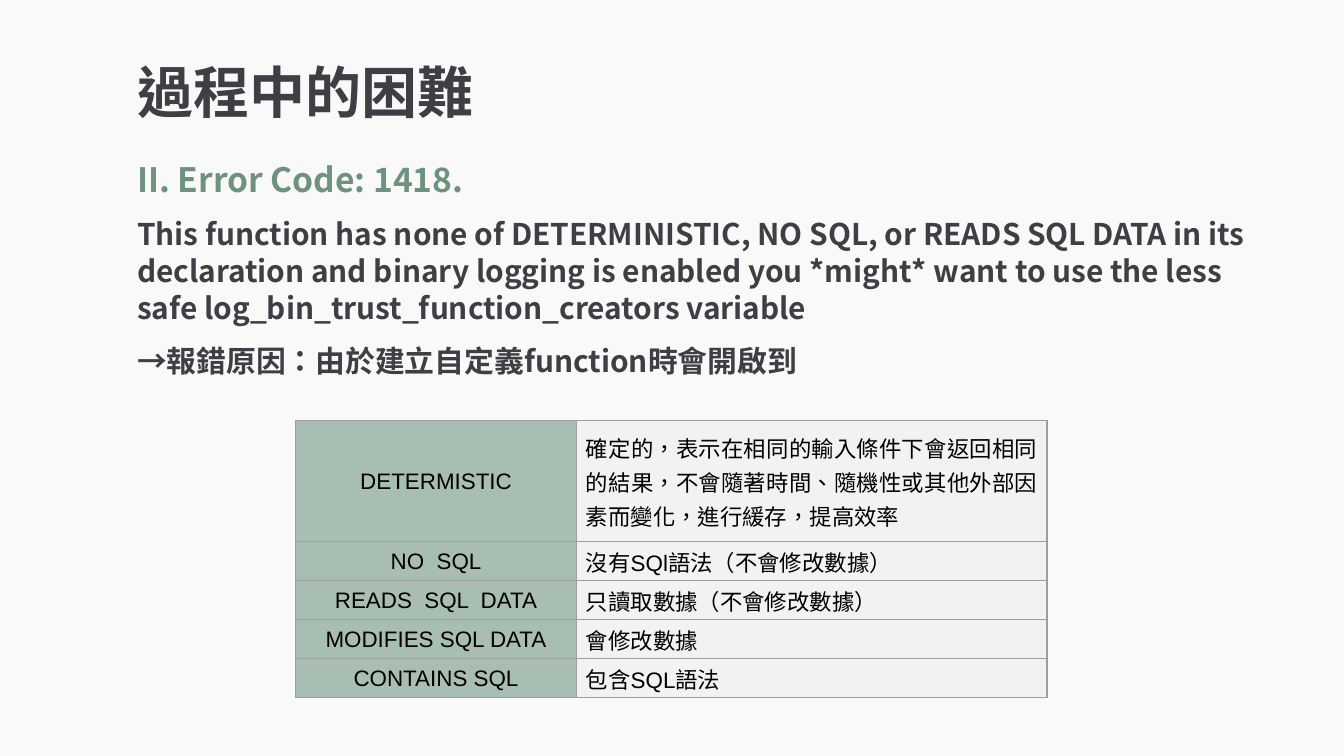
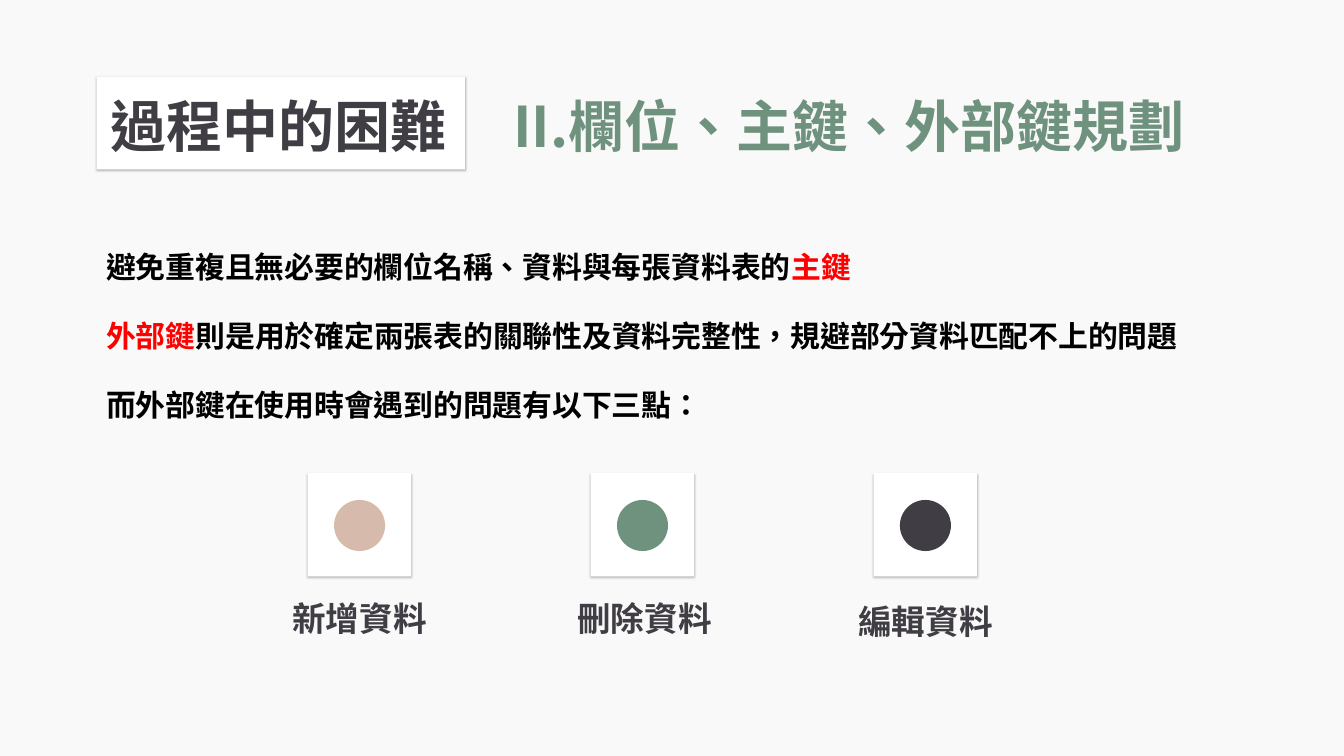
"""Build two slides on difficulties met during a database project."""
from dataclasses import dataclass

from lxml.etree import SubElement
from pptx import Presentation
from pptx.dml.color import RGBColor
from pptx.enum.shapes import MSO_SHAPE
from pptx.enum.text import MSO_ANCHOR, MSO_AUTO_SIZE, PP_ALIGN
from pptx.oxml import parse_xml
from pptx.oxml.ns import nsdecls, qn
from pptx.util import Inches, Pt


@dataclass(frozen=True)
class Theme:
    paper: str = "FAF9F9"
    ink: str = "403E44"
    green: str = "6F927E"
    sand: str = "D6BBAD"
    white: str = "FFFFFF"
    black: str = "000000"
    red: str = "FF0000"
    key_fill: str = "A9BEB2"
    note_fill: str = "F2F2F2"
    border: str = "9E9E9E"
    heading_font: str = "Noto Sans CJK SC"
    body_font: str = "Calibri"
    table_font: str = "Arial"
    title_size: int = 30
    heading_size: int = 18
    body_size: int = 16
    table_size: int = 12


THEME = Theme()


def write(paragraph, runs, size, font=THEME.heading_font, bold=True,
          align=PP_ALIGN.LEFT, spacing=1.0, after=0, indent=0):
    """Fill a paragraph with (text, colour) runs in one style."""
    properties = paragraph._p.get_or_add_pPr()
    properties.set("marL", str(Inches(indent)))
    properties.set("indent", "0")
    SubElement(properties, qn("a:buNone"))
    paragraph.alignment = align
    paragraph.line_spacing = spacing
    paragraph.space_before = Pt(0)
    paragraph.space_after = Pt(after)
    paragraph.font.name = font
    paragraph.font.size = Pt(size)
    paragraph.font.bold = bold
    paragraph.font.color.rgb = RGBColor.from_string(runs[0][1])
    if font == THEME.heading_font:
        SubElement(properties.find(qn("a:defRPr")), qn("a:ea"), typeface=font)
    for text, color in runs:
        run = paragraph.add_run()
        run.text = text
        run._r.get_or_add_rPr().set("lang", "zh-TW")
        if color != runs[0][1]:
            run.font.color.rgb = RGBColor.from_string(color)


def add_filled(slide, preset, left, top, width, height, color, raised=False):
    """Add a borderless shape, with a soft shadow when raised."""
    shape = slide.shapes.add_shape(
        preset, Inches(left), Inches(top), Inches(width), Inches(height))
    shape.fill.solid()
    shape.fill.fore_color.rgb = RGBColor.from_string(color)
    shape.line.fill.background()
    shape.shadow.inherit = False
    if raised:
        effects = shape._element.spPr.find(qn("a:effectLst"))
        effects.append(parse_xml(
            f'<a:outerShdw {nsdecls("a")} blurRad="{Pt(1.1)}" dist="{Pt(0.8)}" '
            f'dir="{81 * 60000}" algn="ctr" rotWithShape="0">'
            f'<a:srgbClr val="{THEME.black}"><a:alpha val="25000"/></a:srgbClr>'
            '</a:outerShdw>'))
    return shape


prs = Presentation()
prs.slide_width = Inches(10)
prs.slide_height = prs.slide_width * 9 // 16
background = prs.slide_master.background.fill
background.solid()
background.fore_color.rgb = RGBColor.from_string(THEME.paper)

heading = "過程中的困難"
pages = [
    {
        "title_box": (0.92, 0.33, 2.74, 0.63),
        "title": [(heading, THEME.ink)],
        "body_box": (0.92, 1.12, 8.74, 1.77),
        "style": {"spacing": 1.04},
        "body": [
            (THEME.heading_size, [("II. Error Code: 1418.", THEME.green)]),
            (THEME.body_size, [(
                "This function has none of DETERMINISTIC, NO SQL, or READS SQL DATA "
                "in its declaration and binary logging is enabled you *might* want "
                "to use the less safe log_bin_trust_function_creators variable",
                THEME.ink)]),
            (THEME.body_size,
             [("→報錯原因：由於建立自定義function時會開啟到", THEME.ink)]),
        ],
    },
    {
        "title_box": (0.72, 0.58, 8.56, 0.63),
        "title": [(heading + "\t", THEME.ink),
                  ("II.欄位、主鍵、外部鍵規劃", THEME.green)],
        "body_box": (0.02, 1.67, 9.13, 1.49),
        "style": {"spacing": 1.5, "indent": 0.67, "font": THEME.body_font},
        "body": [
            (THEME.body_size, [
                ("避免重複且無必要的欄位名稱、資料與每張資料表的", THEME.black),
                ("主鍵", THEME.red)]),
            (THEME.body_size, [
                ("外部鍵", THEME.red),
                ("則是用於確定兩張表的關聯性及資料完整性，規避部分資料匹配不上的問題",
                 THEME.black)]),
            (THEME.body_size,
             [("而外部鍵在使用時會遇到的問題有以下三點：", THEME.black)]),
        ],
    },
]

slides = []
for page in pages:
    slide = prs.slides.add_slide(prs.slide_layouts[1])
    slides.append(slide)
    title, body = slide.placeholders
    for holder, box in ((title, page["title_box"]), (body, page["body_box"])):
        holder.left, holder.top, holder.width, holder.height = map(Inches, box)
        holder.text_frame.vertical_anchor = MSO_ANCHOR.TOP
        holder.text_frame.auto_size = MSO_AUTO_SIZE.NONE
        holder.text_frame.word_wrap = True
    title.text_frame.margin_top = title.text_frame.margin_bottom = Inches(0.1)
    write(title.text_frame.paragraphs[0], page["title"], THEME.title_size)
    for index, (size, runs) in enumerate(page["body"]):
        frame = body.text_frame
        paragraph = frame.add_paragraph() if index else frame.paragraphs[0]
        write(paragraph, runs, size, after=8, **page["style"])

error_slide, keys_slide = slides

characteristics = [
    ("DETERMISTIC", "確定的，表示在相同的輸入條件下會返回相同的結果，"
                    "不會隨著時間、隨機性或其他外部因素而變化，進行緩存，提高效率"),
    ("NO  SQL", "沒有SQl語法（不會修改數據）"),
    ("READS  SQL  DATA", "只讀取數據（不會修改數據）"),
    ("MODIFIES SQL DATA", "會修改數據"),
    ("CONTAINS SQL", "包含SQL語法"),
]
columns = [(2.09, THEME.key_fill, PP_ALIGN.CENTER),
           (3.5, THEME.note_fill, PP_ALIGN.JUSTIFY)]
table = error_slide.shapes.add_table(
    len(characteristics), len(columns),
    Inches(2.2), Inches(3.13), Inches(5.59), Inches(2.06)).table
table.first_row = table.horz_banding = False
for row, texts in enumerate(characteristics):
    table.rows[row].height = Inches(0.29 if row else 0.9)
    for column, (width, fill, align) in enumerate(columns):
        table.columns[column].width = Inches(width)
        cell = table.cell(row, column)
        cell.vertical_anchor = MSO_ANCHOR.MIDDLE
        cell.margin_left = cell.margin_right = Inches(0.07)
        cell.margin_top = cell.margin_bottom = 0
        write(cell.text_frame.paragraphs[0], [(texts[column], THEME.black)],
              THEME.table_size, THEME.table_font, False, align, 1.04, 8)
        for side in ("lnL", "lnR", "lnT", "lnB"):
            cell._tc.get_or_add_tcPr().append(parse_xml(
                f'<a:{side} {nsdecls("a")} w="{Pt(0.75)}"><a:solidFill>'
                f'<a:srgbClr val="{THEME.border}"/></a:solidFill></a:{side}>'))
        cell.fill.solid()
        cell.fill.fore_color.rgb = RGBColor.from_string(fill)

title_card = add_filled(keys_slide, MSO_SHAPE.RECTANGLE,
                        0.72, 0.57, 2.74, 0.69, THEME.white, raised=True)
keys_slide.shapes.title._element.addprevious(title_card._element)

problems = [("新增資料", THEME.sand, 1.63, 4.4),
            ("刪除資料", THEME.green, 3.75, 4.4),
            ("編輯資料", THEME.ink, 5.84, 4.42)]
card_size, dot_size = 0.77, 0.38
for index, (problem, color, label_left, label_top) in enumerate(problems):
    card_left = 2.29 + index * 4.21 / 2
    add_filled(keys_slide, MSO_SHAPE.RECTANGLE,
               card_left, 3.52, card_size, card_size, THEME.white, raised=True)
    dot = add_filled(keys_slide, MSO_SHAPE.OVAL, card_left + (card_size - dot_size) / 2,
                     3.72, dot_size, dot_size, color)
    dot.rotation = 90
    label = keys_slide.shapes.add_textbox(
        Inches(label_left), Inches(label_top), Inches(2.09), Inches(0.4)).text_frame
    label.word_wrap = True
    write(label.paragraphs[0], [(problem, THEME.ink)],
          THEME.heading_size, align=PP_ALIGN.CENTER)

prs.save("out.pptx")
